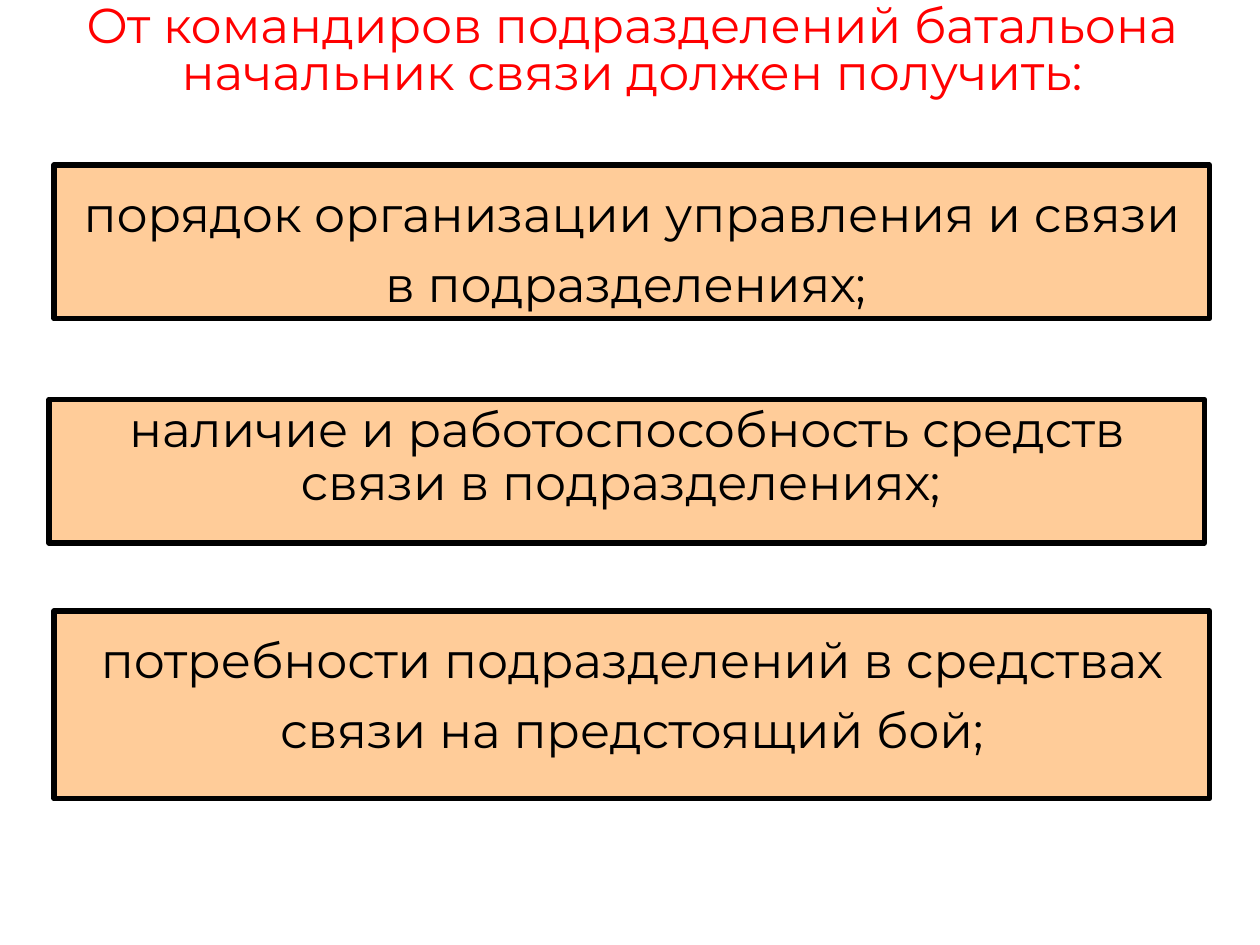
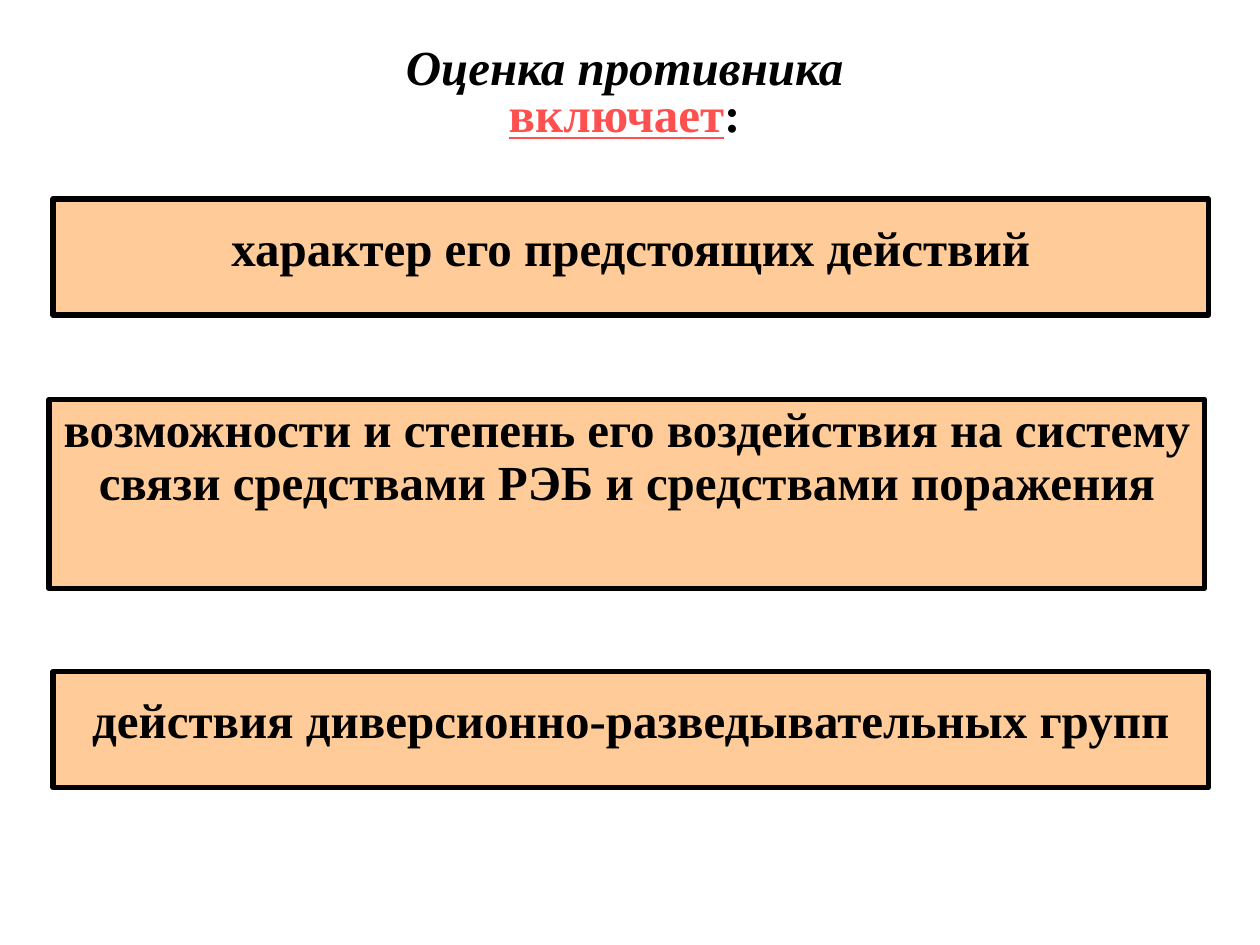
"""Build two slides, each with a title over three framed statements."""
from pptx import Presentation
from pptx.dml.color import RGBColor as Rgb
from pptx.enum.shapes import MSO_SHAPE as Shape
from pptx.enum.text import MSO_ANCHOR as Anchor, PP_ALIGN as Align
from pptx.util import Inches, Pt

BLACK, RED, CORAL, PEACH = "000000", "FF0000", "FF5050", "FFCC99"
SANS, SERIF = "Montserrat", "Times New Roman"

deck = Presentation()
deck.slide_width, deck.slide_height = Inches(10), Inches(7.5)
column, row = deck.slide_width / 100, deck.slide_height / 75
box_width = 91.7


def color(value):
    """Turn a hex string into a colour."""
    return Rgb.from_string(value)


def write(box, paragraphs, font, bold, spacing):
    """Fill a box with centred paragraphs made of (text, colour, italic, underline) spans."""
    frame = box.text_frame
    frame.word_wrap = True
    frame.vertical_anchor = Anchor.TOP
    for number, spans in enumerate(paragraphs):
        para = frame.add_paragraph() if number else frame.paragraphs[0]
        para.alignment = Align.CENTER
        para.line_spacing = spacing
        for text, ink, italic, underline in spans:
            span = para.add_run()
            span.text = text
            span.font.name, span.font.size = font, Pt(28)
            span.font.bold, span.font.italic = bold, italic
            span.font.underline = underline
            span.font.color.rgb = color(ink)


slides = [
    {
        "font": SANS, "bold": False, "left": 4.3, "title_place": (0, 12.3),
        "title": [[("От командиров подразделений батальона начальник связи должен получить:",
                    RED, False, False)]],
        "statements": [
            (13.1, 12.2, "порядок организации управления и связи в подразделениях; "),
            (31.7, 11.4, "наличие и работоспособность средств связи в подразделениях; "),
            (48.5, 14.9, "потребности подразделений в средствах связи на предстоящий бой;"),
        ],
    },
    {
        "font": SERIF, "bold": True, "left": 4.2, "title_place": (3.3, 9.2),
        "title": [[("Оценка противника ", BLACK, True, False)],
                  [("включает", CORAL, False, True), (": ", BLACK, False, False)]],
        "statements": [
            (15.8, 9.2, "характер его предстоящих действий"),
            (31.7, 15, "возможности и степень его воздействия на систему связи "
                       "средствами РЭБ и средствами поражения"),
            (53.3, 9.2, "действия диверсионно-разведывательных групп"),
        ],
    },
]
middle_left = 3.9
statement_spacing = [1.2, 0.9, 1.2]

for content in slides:
    page = deck.slides.add_slide(deck.slide_layouts[6])
    page.background.fill.solid()
    page.background.fill.fore_color.rgb = color("FFFFFF")
    font, bold, left = content["font"], content["bold"], content["left"]

    top, height = content["title_place"]
    title = page.shapes.add_textbox(
        int(left * column), int(top * row), int(box_width * column), int(height * row))
    write(title, content["title"], font, bold, 0.8)

    lefts = [left, middle_left, left]
    for x, spacing, (top, height, text) in zip(lefts, statement_spacing, content["statements"]):
        box = page.shapes.add_shape(
            Shape.RECTANGLE,
            int(x * column), int(top * row), int(box_width * column), int(height * row))
        box.shadow.inherit = False
        box.fill.solid()
        box.fill.fore_color.rgb = color(PEACH)
        box.line.color.rgb = color(BLACK)
        box.line.width = Pt(3)
        write(box, [[(text, BLACK, False, False)]], font, bold, spacing)

deck.save("out.pptx")
